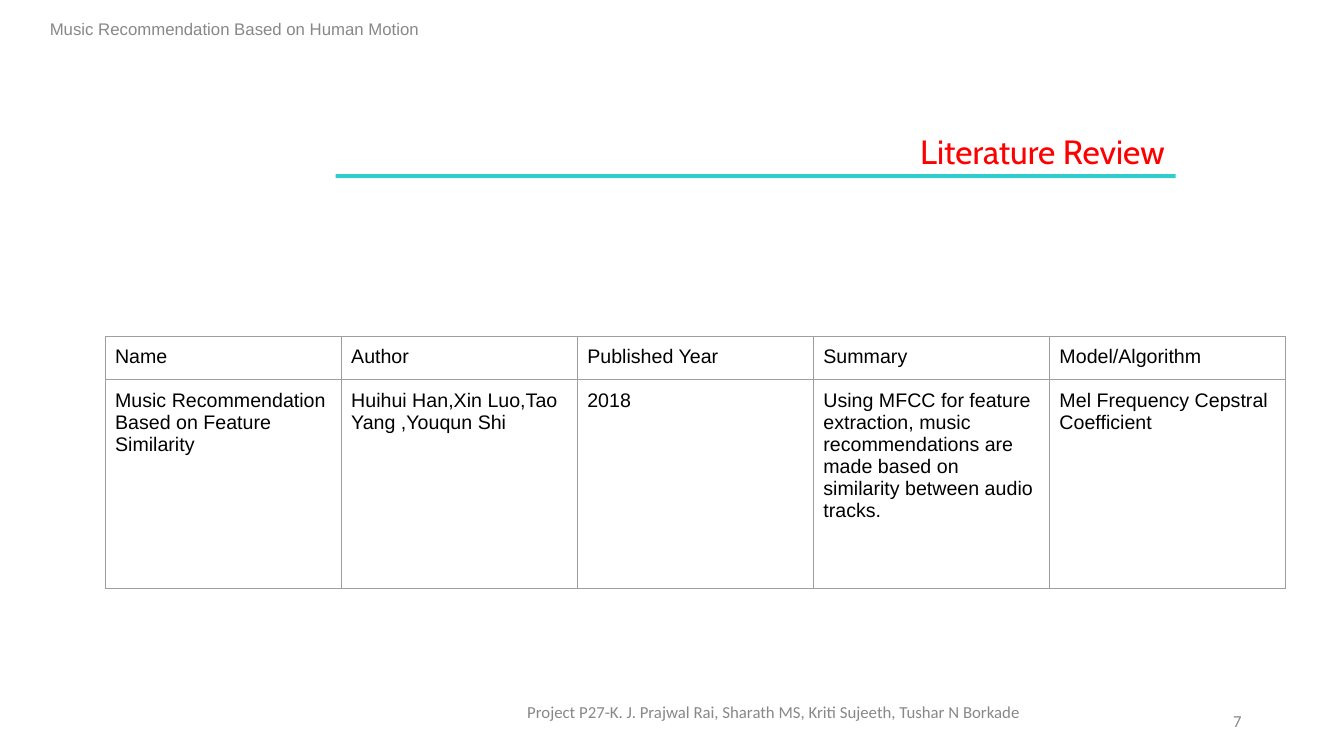
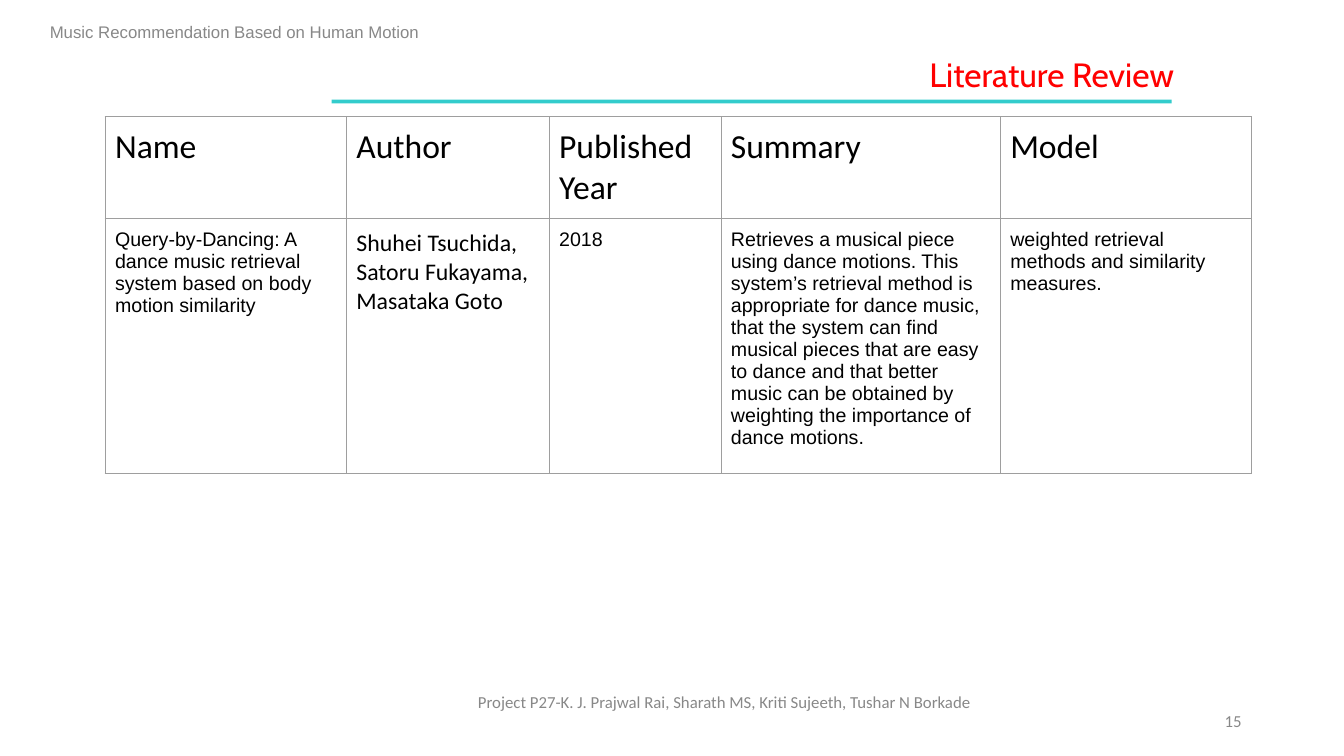
from lxml.etree import SubElement
from pptx import Presentation
from pptx.dml.color import RGBColor
from pptx.enum.shapes import MSO_SHAPE
from pptx.enum.text import MSO_ANCHOR, MSO_AUTO_SIZE, PP_ALIGN
from pptx.oxml.ns import qn
from pptx.util import Cm, Pt

COLORS = {"title": "FF0000", "rule": "33CCCC", "muted": "888888",
          "text": "000000", "grid": "9E9E9E"}
HEADER = "Music Recommendation Based on Human Motion"
FOOTER = "Project P27-K. J. Prajwal Rai, Sharath MS, Kriti Sujeeth, Tushar N Borkade"

BODY = ("Arial", 14)
HEADING = ("Calibri", 24)
AUTHORS = ("Calibri", 17)

REVIEWS = [
    {
        "number": "7", "header_top": 0.23, "title_right": 29.61, "title_top": 3.18,
        "rule": (8.46, 4.39), "footer": (11.22, 17.42), "table_top": 8.47,
        "columns": [5.95] * 5, "rows": [1.09, 5.27],
        "cells": [
            ["Name", "Author", "Published Year", "Summary", "Model/Algorithm"],
            ["Music Recommendation Based on Feature Similarity",
             "Huihui Han,Xin Luo,Tao Yang ,Youqun Shi",
             "2018",
             "Using MFCC for feature extraction, music recommendations are made "
             "based on similarity between audio tracks.",
             "Mel Frequency Cepstral Coefficient"],
        ],
        "fonts": [[BODY] * 5, [BODY] * 5],
    },
    {
        "number": "15", "header_top": 0.3, "title_right": 29.84, "title_top": 1.22,
        "rule": (8.36, 2.51), "footer": (9.98, 17.17), "table_top": 2.94,
        "columns": [6.08, 5.11, 4.33, 7.04, 6.32], "rows": [2.55, 6.43],
        "cells": [
            ["Name", "Author", "Published Year", "Summary", "Model"],
            ["Query-by-Dancing: A dance music retrieval system based on body "
             "motion similarity",
             "Shuhei Tsuchida, Satoru Fukayama, Masataka Goto",
             "2018",
             "Retrieves a musical piece using dance motions. This system’s "
             "retrieval method is appropriate for dance music, that the system "
             "can find musical pieces that are easy to dance and that better "
             "music can be obtained by weighting the importance of dance motions.",
             "weighted retrieval methods and similarity measures."],
        ],
        "fonts": [[HEADING] * 5, [BODY, AUTHORS, BODY, BODY, BODY]],
    },
]


def write(frame, text, font, size, color, align=PP_ALIGN.LEFT, anchor=MSO_ANCHOR.MIDDLE):
    frame.text = text
    frame.word_wrap = True
    frame.auto_size = MSO_AUTO_SIZE.NONE
    frame.vertical_anchor = anchor
    paragraph = frame.paragraphs[0]
    paragraph.alignment = align
    run_font = paragraph.runs[0].font
    run_font.name = font
    run_font.size = Pt(size)
    run_font.color.rgb = RGBColor.from_string(COLORS[color])


def style_cell(cell, text, font, size):
    write(cell.text_frame, text, font, size, "text", anchor=MSO_ANCHOR.TOP)
    cell.margin_left = cell.margin_right = Cm(0.25)
    cell.margin_top = cell.margin_bottom = Cm(0.25)
    properties = cell._tc.get_or_add_tcPr()
    for side in ("a:lnL", "a:lnR", "a:lnT", "a:lnB"):
        border = SubElement(properties, qn(side), w=str(Pt(0.75)))
        fill = SubElement(border, qn("a:solidFill"))
        SubElement(fill, qn("a:srgbClr"), val=COLORS["grid"])
    cell.fill.background()


prs = Presentation()
prs.slide_width = Cm(33.87)
prs.slide_height = Cm(19.05)

for review in REVIEWS:
    slide = prs.slides.add_slide(prs.slide_layouts[5])

    rule_left, rule_top = review["rule"]
    rule = slide.shapes.add_shape(MSO_SHAPE.RECTANGLE, Cm(rule_left), Cm(rule_top),
                                  Cm(21.17), Cm(0.1))
    rule.shadow.inherit = False
    rule.fill.solid()
    rule.fill.fore_color.rgb = RGBColor.from_string(COLORS["rule"])
    rule.line.fill.background()

    title = slide.shapes.title
    title.left, title.top = Cm(review["title_right"] - 18), Cm(review["title_top"])
    title.width, title.height = Cm(18), Cm(1.27)
    write(title.text_frame, "Literature Review", "Cabin", 24, "title",
          PP_ALIGN.RIGHT, MSO_ANCHOR.TOP)

    footer_left, footer_top = review["footer"]
    for text, left, top, width, font, align in [
        (FOOTER, footer_left, footer_top, 16.56, "Calibri", PP_ALIGN.CENTER),
        (review["number"], 23.92, 17.65, 7.62, "Calibri", PP_ALIGN.RIGHT),
        (HEADER, 0.2, review["header_top"], 11.43, "Arial", PP_ALIGN.CENTER),
    ]:
        box = slide.shapes.add_textbox(Cm(left), Cm(top), Cm(width), Cm(1.01))
        write(box.text_frame, text, font, 12, "muted", align)

    columns, rows = review["columns"], review["rows"]
    table = slide.shapes.add_table(len(rows), len(columns), Cm(2.65),
                                   Cm(review["table_top"]), Cm(sum(columns)),
                                   Cm(sum(rows))).table
    table.first_row = table.horz_banding = False
    for column, width in zip(table.columns, columns):
        column.width = Cm(width)
    for row, height, texts, fonts in zip(table.rows, rows, review["cells"], review["fonts"]):
        row.height = Cm(height)
        for cell, text, (font, size) in zip(row.cells, texts, fonts):
            style_cell(cell, text, font, size)

prs.save("out.pptx")
